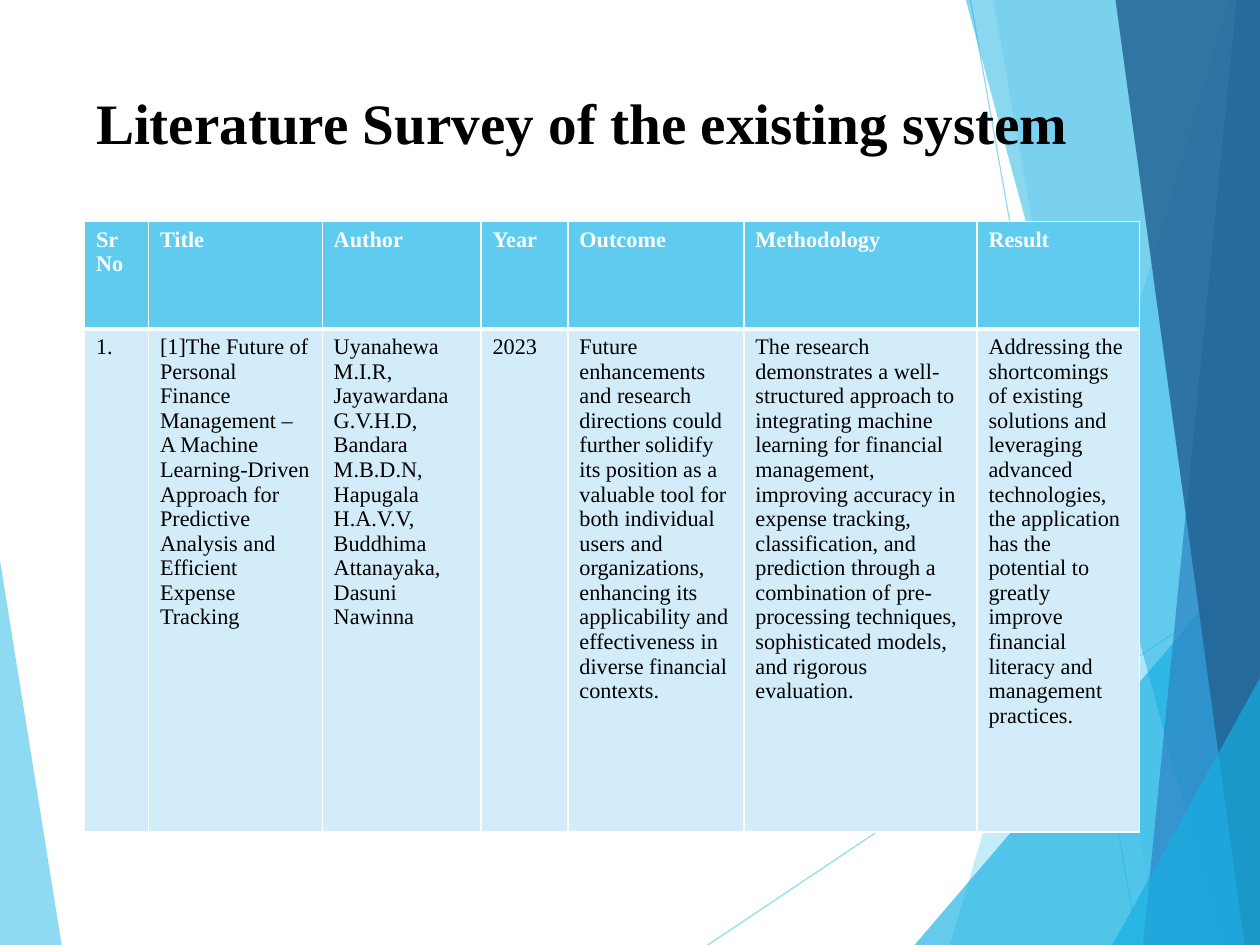
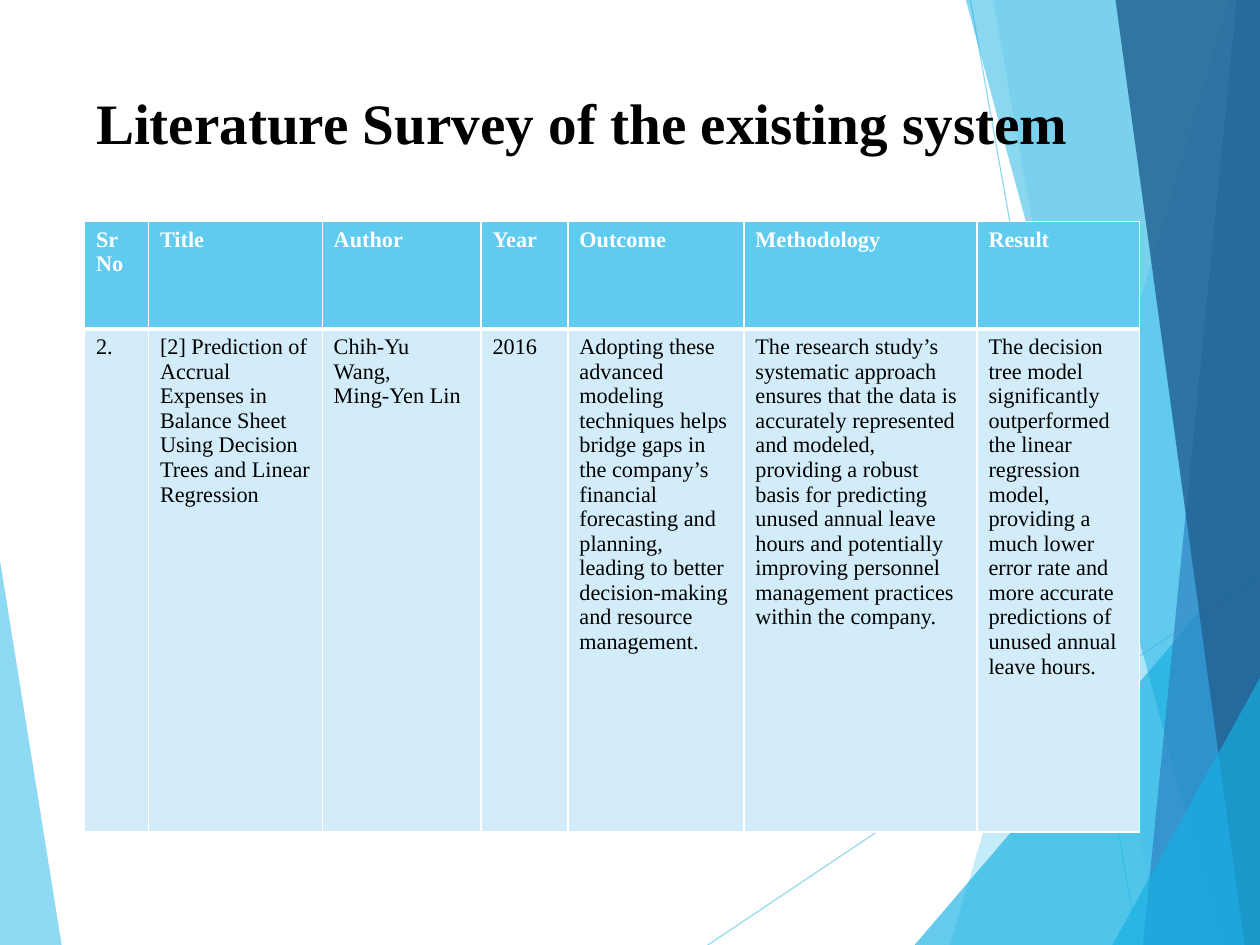
from dataclasses import dataclass

from lxml import etree
from pptx import Presentation
from pptx.dml.color import RGBColor
from pptx.enum.shapes import MSO_CONNECTOR
from pptx.enum.text import MSO_ANCHOR, MSO_AUTO_SIZE, PP_ALIGN
from pptx.oxml.ns import qn
from pptx.util import Cm, Pt

STRAIGHT = MSO_CONNECTOR.STRAIGHT
LEFT, TOP = PP_ALIGN.LEFT, MSO_ANCHOR.TOP
NO_AUTOFIT = MSO_AUTO_SIZE.NONE

PX = 9144  # EMU per px, 100 px to the inch
SLIDE_SIZE = Cm(28), Cm(21)
W, H = 1103, 827  # right and bottom edge of the backdrop
FONT = "Times New Roman"
COLORS = {
    "sky": "5FCBEF",
    "cyan": "16B0E3",
    "blue": "2E83C3",
    "navy": "226292",
    "pale": "D2ECF9",
    "white": "FFFFFF",
    "black": "000000",
}
TITLE_ONLY = 5

# Table grid
MARGIN, TABLE_TOP = 74, 194
COL_WIDTHS = [56, 152, 139, 76, 154, 204, 142]
ROW_HEIGHTS = [94, 440]
HEADERS = ["Sr\nNo", "Title", "Author", "Year", "Outcome", "Methodology", "Result"]


@dataclass
class Facet:
    points: list[tuple[int, int]]
    color: str
    opacity: int


@dataclass
class Ray:
    start: tuple[int, int]
    end: tuple[int, int]


@dataclass
class Paper:
    number: str
    title: str
    authors: str
    year: str
    outcome: str
    methodology: str
    result: str

    def cells(self) -> list[str]:
        return [self.number, self.title, self.authors, self.year,
                self.outcome, self.methodology, self.result]


LEFT_FACET = Facet([(0, 490), (54, H), (0, H)], "sky", 70)
RAYS = [Ray((619, H), (W, 503)), Ray((849, 0), (996, H))]
RIGHT_FACETS = [
    Facet([(1075, 0), (831, H), (W, H), (W, 0)], "sky", 36),
    Facet([(869, 0), (1014, H), (W, H), (W, 0)], "sky", 20),
    Facet([(800, H), (W, 473), (W, H)], "cyan", 66),
    Facet([(845, 0), (1069, H), (W, H), (W, 0)], "cyan", 50),
    Facet([(1082, 0), (1000, H), (W, H), (W, 0)], "blue", 70),
    Facet([(976, 0), (1089, H), (W, H), (W, 0)], "navy", 82),
    Facet([(973, H), (W, 592), (W, H)], "cyan", 66),
]

PAPERS = [
    Paper(
        "1.",
        "[1]The Future of Personal Finance Management – A Machine Learning-Driven "
        "Approach for Predictive Analysis and Efficient Expense Tracking",
        "Uyanahewa M.I.R,\nJayawardana G.V.H.D,\nBandara M.B.D.N,\n"
        "Hapugala H.A.V.V,\nBuddhima Attanayaka,\nDasuni Nawinna",
        "2023",
        "Future enhancements and research directions could further solidify its "
        "position as a valuable tool for both individual users and organizations, "
        "enhancing its applicability and effectiveness in diverse financial contexts.",
        "The research demonstrates a well-structured approach to integrating machine "
        "learning for financial management, improving accuracy in expense tracking, "
        "classification, and prediction through a combination of pre-processing "
        "techniques, sophisticated models, and rigorous evaluation.",
        "Addressing the shortcomings of existing solutions and leveraging advanced "
        "technologies, the application has the potential to greatly improve financial "
        "literacy and management practices.",
    ),
    Paper(
        "2.",
        "[2] Prediction of Accrual Expenses in Balance Sheet Using Decision Trees "
        "and Linear Regression",
        "Chih-Yu Wang,\nMing-Yen Lin",
        "2016",
        "Adopting these advanced modeling techniques helps bridge gaps in the "
        "company’s financial forecasting and planning, leading to better "
        "decision-making and resource management.",
        "The research study’s systematic approach ensures that the data is accurately "
        "represented and modeled, providing a robust basis for predicting unused "
        "annual leave hours and potentially improving personnel management practices "
        "within the company.",
        "The decision tree model significantly outperformed the linear regression "
        "model, providing a much lower error rate and more accurate predictions of "
        "unused annual leave hours.",
    ),
]


def rgb(name: str) -> RGBColor:
    return RGBColor.from_string(COLORS[name])


def set_opacity(shape, percent: int) -> None:
    for clr in shape.element.spPr.iter(qn("a:srgbClr")):
        etree.SubElement(clr, qn("a:alpha"), val=str(percent * 1000))


def style_text(tf, size: int, color: str, bold: bool, spacing: float = 1.0) -> None:
    for p in tf.paragraphs:
        p.alignment = LEFT
        p.line_spacing = spacing
        for r in p.runs:
            r.font.name = FONT
            r.font.size = Pt(size)
            r.font.bold = bold
            r.font.color.rgb = rgb(color)


def add_facet(s, facet: Facet) -> None:
    builder = s.shapes.build_freeform(*facet.points[0], scale=PX)
    builder.add_line_segments(facet.points[1:], close=True)
    sp = builder.convert_to_shape()
    sp.shadow.inherit = False
    sp.fill.solid()
    sp.fill.fore_color.rgb = rgb(facet.color)
    sp.line.fill.background()
    set_opacity(sp, facet.opacity)


def add_ray(s, ray: Ray) -> None:
    line = s.shapes.add_connector(STRAIGHT, *(v * PX for v in ray.start + ray.end))
    line.line.color.rgb = rgb("sky")
    line.line.width = Pt(0.75)
    set_opacity(line, 70)
    etree.SubElement(line.element.spPr, qn("a:effectLst"))


def add_backdrop(s) -> None:
    add_facet(s, LEFT_FACET)
    for ray in RAYS:
        add_ray(s, ray)
    for facet in RIGHT_FACETS:
        add_facet(s, facet)


def set_title(s, text: str) -> None:
    title = s.shapes.title
    title.left, title.top, title.width, title.height = (
        v * PX for v in (MARGIN, 77, sum(COL_WIDTHS), 159))
    tf = title.text_frame
    tf.text = text
    tf.word_wrap = True
    tf.auto_size = NO_AUTOFIT
    tf.vertical_anchor = TOP
    style_text(tf, 36, "black", True, 0.93)
    # Bring the title in front of the backdrop
    title.element.getparent().append(title.element)


def set_borders(cell, top: int, bottom: int) -> None:
    tcPr = cell._tc.get_or_add_tcPr()
    for side, width in (("L", 1), ("R", 1), ("T", top), ("B", bottom)):
        ln = etree.SubElement(tcPr, qn(f"a:ln{side}"), w=str(Pt(width)))
        fill = etree.SubElement(ln, qn("a:solidFill"))
        etree.SubElement(fill, qn("a:srgbClr"), val=COLORS["white"])


def add_survey_table(s, paper: Paper) -> None:
    rows = [HEADERS, paper.cells()]
    frame = s.shapes.add_table(
        len(rows), len(HEADERS), MARGIN * PX, TABLE_TOP * PX,
        sum(COL_WIDTHS) * PX, sum(ROW_HEIGHTS) * PX)
    table = frame.table
    table.horz_banding = False
    for col, width in zip(table.columns, COL_WIDTHS):
        col.width = width * PX
    for i, (row, height) in enumerate(zip(table.rows, ROW_HEIGHTS)):
        row.height = height * PX
        header = i == 0
        for cell, text in zip(row.cells, rows[i]):
            # A thick rule parts the header from the body
            set_borders(cell, *((1, 3) if header else (3, 1)))
            cell.fill.solid()
            cell.fill.fore_color.rgb = rgb("sky" if header else "pale")
            cell.text_frame.text = text
            style_text(cell.text_frame, 14, "white" if header else "black", header)


def main() -> None:
    prs = Presentation()
    prs.slide_width, prs.slide_height = SLIDE_SIZE
    for paper in PAPERS:
        s = prs.slides.add_slide(prs.slide_layouts[TITLE_ONLY])
        add_backdrop(s)
        set_title(s, "Literature Survey of the existing system")
        add_survey_table(s, paper)
    prs.save("out.pptx")


if __name__ == "__main__":
    main()
